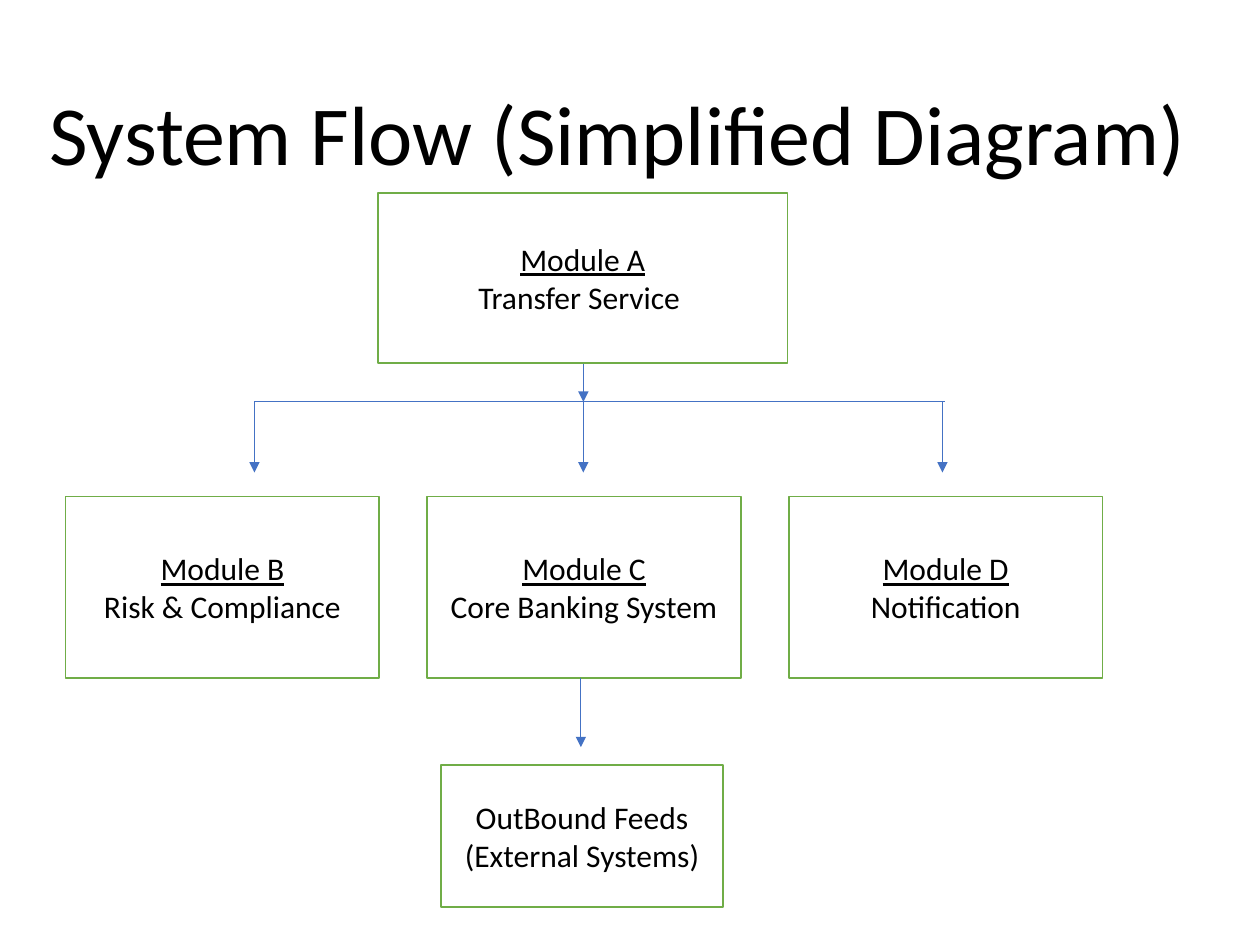
from pptx import Presentation
from pptx.dml.color import RGBColor
from pptx.enum.shapes import MSO_CONNECTOR, MSO_SHAPE
from pptx.enum.text import MSO_ANCHOR, PP_ALIGN
from pptx.oxml.ns import qn
from pptx.util import Inches, Pt
from lxml.etree import SubElement

BLACK = RGBColor(0x00, 0x00, 0x00)
WHITE = RGBColor(0xFF, 0xFF, 0xFF)
GREEN = RGBColor(0x70, 0xAD, 0x47)
BLUE = RGBColor(0x44, 0x72, 0xC4)


def write_text(shape, text, size, anchor):
    frame = shape.text_frame
    frame.word_wrap = True
    frame.vertical_anchor = anchor
    para = frame.paragraphs[0]
    para.text = text
    para.alignment = PP_ALIGN.CENTER
    for span in para.runs:
        span.font.name = "Calibri"
        span.font.size = Pt(size)
        span.font.color.rgb = BLACK
    return para


deck = Presentation()
deck.slide_width = Inches(10)
deck.slide_height = Inches(7.5)
page = deck.slides.add_slide(deck.slide_layouts[6])

title = page.shapes.add_textbox(Inches(-0.26), Inches(0.92), Inches(10.32), Inches(0.59))
title_para = write_text(title, "System Flow (Simplified Diagram)", 48, MSO_ANCHOR.BOTTOM)
title_para.line_spacing = 0.9

module_top, module_width, module_height = 3.94, 2.49, 1.44
modules = ["Module B\vRisk & Compliance", "Module C\vCore Banking System", "Module D\vNotification"]
boxes = [("Module A\vTransfer Service ", 3, 1.53, 3.25, 1.35)]
for column, text in enumerate(modules):
    boxes.append((text, 0.52 + 2.87 * column, module_top, module_width, module_height))
boxes.append(("OutBound Feeds\v(External Systems)", 3.5, 6.07, 2.24, 1.13))

for text, left, top, width, height in boxes:
    box = page.shapes.add_shape(
        MSO_SHAPE.RECTANGLE, Inches(left), Inches(top), Inches(width), Inches(height)
    )
    box.shadow.inherit = False
    box.fill.solid()
    box.fill.fore_color.rgb = WHITE
    box.line.color.rgb = GREEN
    box.line.width = Pt(1)
    para = write_text(box, text, 18, MSO_ANCHOR.MIDDLE)
    para.runs[0].font.underline = text.startswith("Module")

bus_y, branch_end = 3.19, 3.75
lines = [(2.02, bus_y, 7.5, bus_y, False)]
for x in (2.02, 4.63, 7.48):
    lines.append((x, bus_y, x, branch_end, True))
lines.append((4.63, 2.89, 4.63, bus_y, True))
lines.append((4.61, module_top + module_height, 4.61, 5.93, True))

for start_x, start_y, end_x, end_y, has_arrow in lines:
    connector = page.shapes.add_connector(
        MSO_CONNECTOR.STRAIGHT, Inches(start_x), Inches(start_y), Inches(end_x), Inches(end_y)
    )
    connector.line.color.rgb = BLUE
    connector.line.width = Pt(0.5)
    if has_arrow:
        SubElement(connector.line._get_or_add_ln(), qn("a:tailEnd"), type="triangle")
    SubElement(connector._element.spPr, qn("a:effectLst"))

deck.save("out.pptx")
